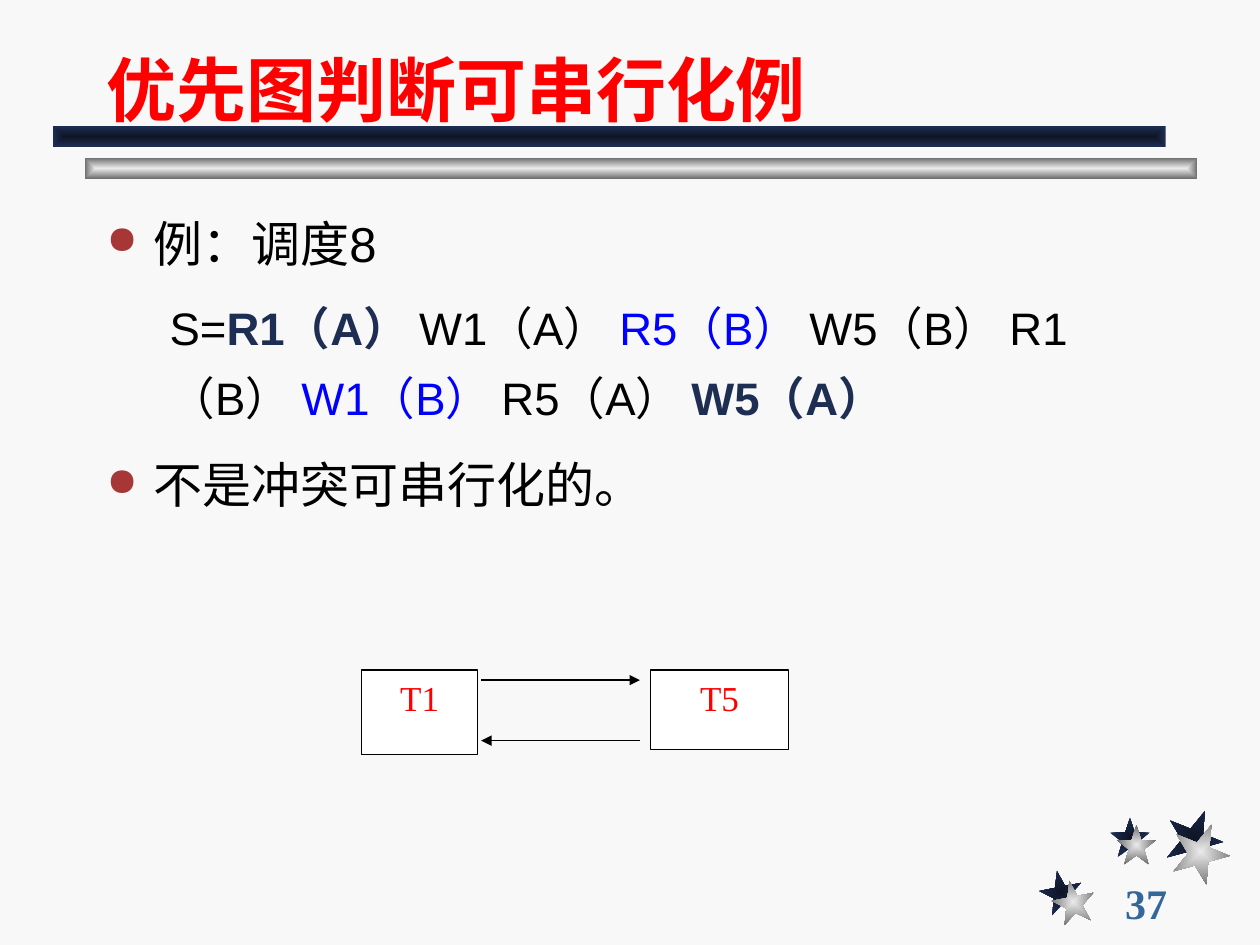
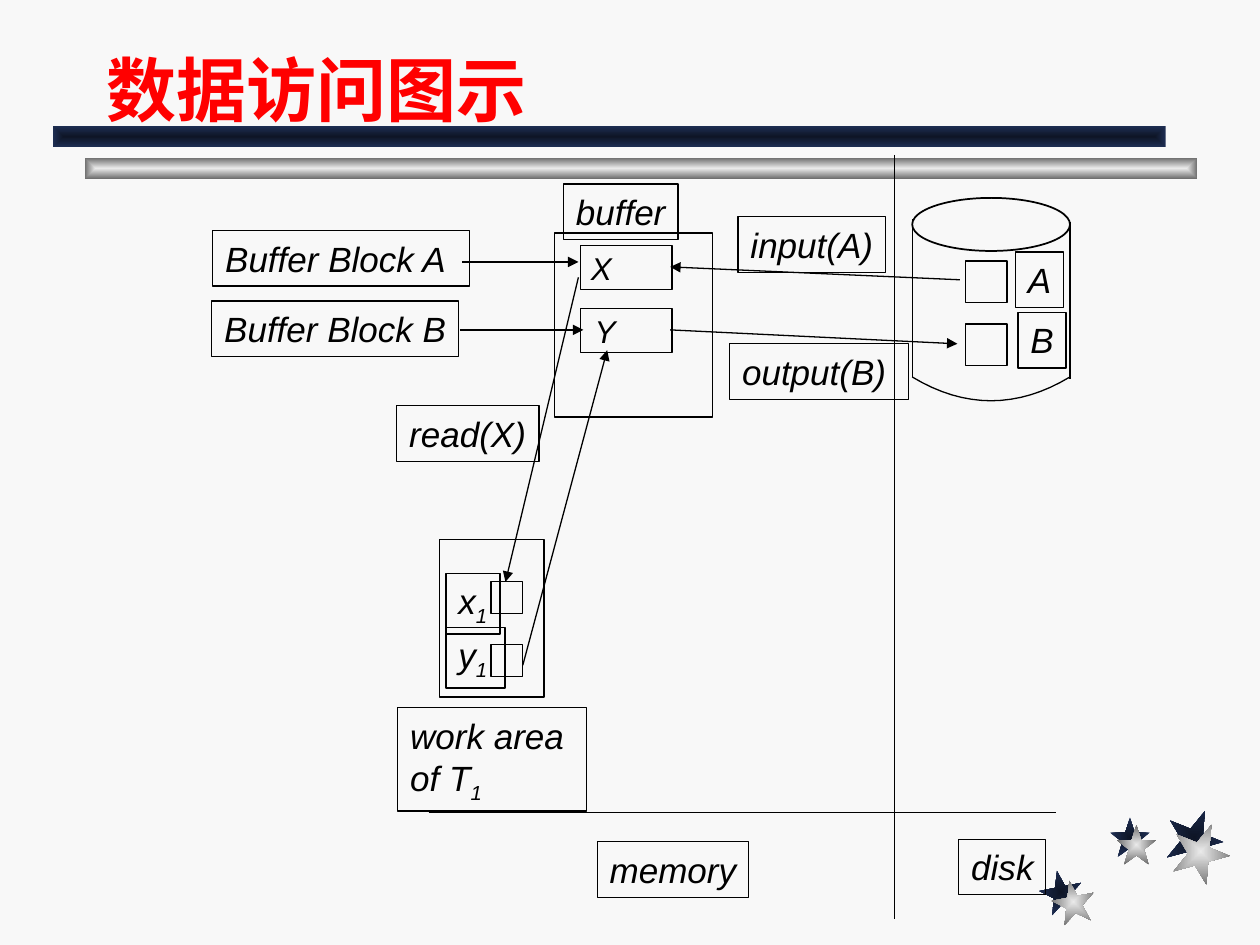
from dataclasses import dataclass

from lxml.etree import SubElement
from pptx import Presentation
from pptx.dml.color import RGBColor
from pptx.enum.shapes import MSO_CONNECTOR as Connector, MSO_SHAPE as Preset
from pptx.enum.text import MSO_ANCHOR as Anchor, MSO_AUTO_SIZE as AutoSize, PP_ALIGN as Align
from pptx.oxml.ns import qn
from pptx.util import Cm, Pt


@dataclass(frozen=True)
class Theme:
    paper: str = "F8F8F8"
    white: str = "FFFFFF"
    ink: str = "000000"
    red: str = "FF0000"
    blue: str = "0000FF"
    navy: str = "1E2E53"
    bullet: str = "A73737"
    number: str = "336699"
    dark_fade: tuple = ("0E1526", "1E2E53")
    light_fade: tuple = ("EAEAEA", "6C6C6C")
    sans: str = "Arial"
    serif: str = "Times New Roman"
    title_size: int = 40
    body_size: int = 28
    schedule_size: int = 26
    number_size: int = 24
    label_size: int = 20
    item_size: int = 18
    line_width: float = 0.75


THEME = Theme()
LABEL_HEIGHT = 1.12


@dataclass(frozen=True)
class Box:
    """A rectangle in centimetres."""
    left: float
    top: float
    width: float
    height: float

    def inner(self, dx, dy, width, height):
        return Box(self.left + dx, self.top + dy, width, height)

    def lengths(self):
        return Cm(self.left), Cm(self.top), Cm(self.width), Cm(self.height)


PAGE = Box(0, 0, 25.4, 19.05)


def rgb(value):
    return RGBColor.from_string(value)


# Text
def add_span(para, text, *, size, font=THEME.sans, color=THEME.ink,
             bold=False, italic=False, baseline=0):
    span = para.add_run()
    span.text = text
    span.font.name, span.font.size = font, Pt(size)
    span.font.bold, span.font.italic = bold, italic
    span.font.color.rgb = rgb(color)
    if baseline:
        span._r.get_or_add_rPr().set("baseline", str(baseline * 1000))


def prepare_frame(shape, anchor=Anchor.TOP, inset=0.25, right=0.0):
    frame = shape.text_frame
    frame.word_wrap, frame.auto_size = True, AutoSize.NONE
    frame.vertical_anchor = anchor
    frame.margin_left, frame.margin_right = Cm(inset), Cm(right)
    frame.margin_top = frame.margin_bottom = Cm(0.13)
    return frame


def add_bullet(para):
    props = para._p.get_or_add_pPr()
    props.set("marL", str(Cm(0.95)))
    props.set("indent", str(-Cm(0.95)))
    SubElement(SubElement(props, qn("a:buClr")), qn("a:srgbClr"), val=THEME.bullet)
    SubElement(props, qn("a:buSzPct"), val="80000")
    SubElement(props, qn("a:buChar"), char="●")


# Shapes and lines
def add_outline(page, box, preset=Preset.RECTANGLE, fill=None, width=THEME.line_width):
    shape = page.shapes.add_shape(preset, *box.lengths())
    style_outline(shape, fill, width)
    return shape


def style_outline(shape, fill=None, width=THEME.line_width):
    shape.shadow.inherit = False
    if fill:
        shape.fill.solid()
        shape.fill.fore_color.rgb = rgb(fill)
    else:
        shape.fill.background()
    shape.line.color.rgb = rgb(THEME.ink)
    shape.line.width = Pt(width)


def add_faded(page, box, preset, fade, rotation=0):
    shape = page.shapes.add_shape(preset, *box.lengths())
    shape.shadow.inherit = False
    shape.rotation = rotation
    shape.line.fill.background()
    shape.fill.gradient()
    for stop, color in zip(shape.fill.gradient_stops, fade):
        stop.color.rgb = rgb(color)
    # Fade from the centre to the edges
    gradient = shape.element.spPr.find(qn("a:gradFill"))
    gradient.remove(gradient.find(qn("a:lin")))
    route = SubElement(gradient, qn("a:path"), path="rect")
    SubElement(route, qn("a:fillToRect"), l="50000", t="50000", r="50000", b="50000")


def add_line(page, box, start, end, arrow=False):
    ends = [Cm(origin + offset) for point in (start, end)
            for origin, offset in zip((box.left, box.top), point)]
    line = page.shapes.add_connector(Connector.STRAIGHT, *ends)
    line.line.color.rgb = rgb(THEME.ink)
    line.line.width = Pt(THEME.line_width)
    props = line.element.spPr
    if arrow:
        SubElement(props.find(qn("a:ln")), qn("a:tailEnd"), type="triangle")
    SubElement(props, qn("a:effectLst"))


def add_label(page, box, *lines, size=THEME.label_size, anchor=Anchor.TOP, inset=0.25):
    """Each line is a text, or a pair of a text and its subscript."""
    frame = prepare_frame(add_outline(page, box), anchor, inset)
    for index, line in enumerate(lines):
        para = frame.add_paragraph() if index else frame.paragraphs[0]
        para.alignment = Align.LEFT
        text, subscript = (line, "") if isinstance(line, str) else line
        add_span(para, text, size=size, italic=True)
        if subscript:
            add_span(para, subscript, size=size, italic=True, baseline=-25)


# Shared frame of every slide
def add_stars(page, box):
    stars = [(0, 1.24, 0.86, -11, 0.25, 0.2),
             (1.42, 0.17, 0.8, 0, 0.13, 0.15),
             (2.54, 0, 1.15, 22, 0.13, 0.28)]
    for fade, shift in ((THEME.dark_fade, 0), (THEME.light_fade, 1)):
        for dx, dy, size, rotation, shift_x, shift_y in stars:
            place = box.inner(dx + shift * shift_x, dy + shift * shift_y, size, size)
            add_faded(page, place, Preset.STAR_5_POINT, fade, rotation)


def add_bands(page, box):
    add_faded(page, box.inner(0.64, 0.64, 22.43, 0.43), Preset.RECTANGLE, THEME.light_fade)
    add_faded(page, box.inner(0, 0, 22.43, 0.43), Preset.RECTANGLE, THEME.dark_fade)


def add_title(page, box, text):
    title = page.shapes.title
    title.left, title.top, title.width, title.height = box.lengths()
    para = prepare_frame(title, Anchor.BOTTOM, right=0.25).paragraphs[0]
    para.alignment = Align.LEFT
    add_span(para, text, size=THEME.title_size, color=THEME.red, bold=True)


def add_page(deck, title):
    page = deck.slides.add_slide(deck.slide_layouts[5])
    add_stars(page, PAGE.inner(20.96, 16.31, 3.82, 2.3))
    add_bands(page, PAGE.inner(1.07, 2.54, 23.07, 1.07))
    add_title(page, PAGE.inner(1.9, 0.43, 21.59, 2.34), title)
    return page


# Precedence graph slide
def add_schedule(page, box):
    frame = prepare_frame(page.shapes.add_textbox(*box.lengths()), right=0.25)
    heading, schedule, verdict = (frame.paragraphs[0], frame.add_paragraph(),
                                  frame.add_paragraph())
    for para, text in ((heading, "例：调度8"), (verdict, "不是冲突可串行化的。")):
        add_bullet(para)
        add_span(para, text, size=THEME.body_size)
    schedule._p.get_or_add_pPr().set("marL", str(Cm(1.27)))
    steps = [("S=", THEME.ink), ("R1（A） ", THEME.navy), ("W1（A） ", THEME.ink),
             ("R5（B） ", THEME.blue), ("W5（B） R1（B） ", THEME.ink),
             ("W1（B） ", THEME.blue), ("R5（A） ", THEME.ink), ("W5（A）", THEME.navy)]
    for text, color in steps:
        add_span(schedule, text, size=THEME.schedule_size, color=color,
                 bold=color == THEME.navy)
    for para, before in ((heading, 0), (schedule, 6.5), (verdict, 7)):
        para.line_spacing, para.space_before = 1.3, Pt(before)


def add_precedence_graph(page, box):
    nodes = [("T1", box.inner(0, 0, 2.34, 1.7)), ("T5", box.inner(5.82, 0, 2.79, 1.6))]
    for name, place in nodes:
        frame = prepare_frame(add_outline(page, place, fill=THEME.white), right=0.25)
        frame.paragraphs[0].alignment = Align.CENTER
        add_span(frame.paragraphs[0], name, size=THEME.label_size,
                 font=THEME.serif, color=THEME.red)
    add_line(page, box, (2.41, 0.2), (5.61, 0.2), arrow=True)
    add_line(page, box, (5.61, 1.42), (2.41, 1.42), arrow=True)


def add_page_number(page, box, number):
    frame = prepare_frame(page.shapes.add_textbox(*box.lengths()), Anchor.MIDDLE)
    add_span(frame.paragraphs[0], number, size=THEME.number_size, font=THEME.serif,
             color=THEME.number, bold=True)


def add_precedence_page(deck):
    page = add_page(deck, "优先图判断可串行化例")
    add_page_number(page, PAGE.inner(22.43, 17.78, 2.74, 0.84), "37")
    add_schedule(page, PAGE.inner(1.9, 3.81, 22, 6.71))
    add_precedence_graph(page, PAGE.inner(7.29, 13.51, 8.61, 1.7))


# Data access slide
def add_buffer(page, box):
    add_outline(page, box)
    for row, (name, inset) in enumerate((("X", 0.2), ("Y", 0.28))):
        add_label(page, box.inner(0.53, 0.25 + 1.27 * row, 1.84, 0.89), name,
                  size=THEME.item_size, anchor=Anchor.MIDDLE, inset=inset)
    add_label(page, box.inner(0.18, -0.99, 2.31, LABEL_HEIGHT), "buffer")


def add_disk(page, box):
    wall_end, depth, steps = 3.61, 0.48, 16
    add_outline(page, box.inner(0, 0, box.width, 1.07), Preset.OVAL, width=1)
    add_line(page, box, (0, 0.43), (0, wall_end))
    add_line(page, box, (box.width, 0.48), (box.width, 3.66))
    # Curved bottom
    curve = [(Cm(box.left + box.width * step / steps),
              Cm(box.top + wall_end + depth * (1 - (2 * step / steps - 1) ** 2)))
             for step in range(steps + 1)]
    builder = page.shapes.build_freeform(*curve[0])
    builder.add_line_segments(curve[1:], close=False)
    style_outline(builder.convert_to_shape())
    # Blocks and their names
    for row in range(2):
        add_outline(page, box.inner(1.07, 1.27 + 1.27 * row, 0.84, 0.84))
    add_label(page, box.inner(2.08, 1.09, 0.97, LABEL_HEIGHT), "A")
    add_label(page, box.inner(2.13, 2.31, 0.97, LABEL_HEIGHT), "B")


def add_work_area(page, box):
    add_outline(page, box)
    for row, (name, width) in enumerate((("x", 1.09), ("y", 1.19))):
        add_outline(page, box.inner(1.04, 0.86 + 1.27 * row, 0.64, 0.64))
        add_label(page, box.inner(0.13, 0.69 + 1.09 * row, width, 1.22), (name, "1"))
    add_label(page, box.inner(-0.84, 3.4, 3.81, 2.08), "work area", ("of T", "1"))


def add_captions(page, box):
    captions = [("Buffer Block A", 4.29, 4.65, 5.18), ("Buffer Block B", 4.27, 6.07, 4.98),
                ("input(A)", 14.88, 4.37, 2.97), ("output(B)", 14.71, 6.93, 3.61),
                ("read(X)", 8, 8.18, 2.87), ("memory", 12.04, 16.97, 3.05),
                ("disk", 19.33, 16.92, 1.75)]
    for text, dx, dy, width in captions:
        add_label(page, box.inner(dx, dy, width, LABEL_HEIGHT), text)


def add_flows(page, box):
    flows = [((9.32, 5.28), (11.66, 5.28)), ((9.27, 6.65), (11.76, 6.65)),
             ((19.35, 5.64), (13.51, 5.38)), ((13.51, 6.65), (19.3, 6.93)),
             ((11.66, 5.59), (10.19, 11.73)), ((10.54, 13.41), (12.24, 7.06))]
    for start, end in flows:
        add_line(page, box, start, end, arrow=True)
    # Borders between memory and disk
    add_line(page, box, (8.64, 16.38), (21.29, 16.38))
    add_line(page, box, (18.03, 3.12), (18.03, 18.52))


def add_data_access_page(deck):
    page = add_page(deck, "数据访问图示")
    add_buffer(page, PAGE.inner(11.18, 4.7, 3.18, 3.71))
    add_disk(page, PAGE.inner(18.39, 3.99, 3.18, 4.09))
    add_work_area(page, PAGE.inner(8.86, 10.87, 2.11, 3.18))
    add_captions(page, PAGE)
    add_flows(page, PAGE)


def main():
    deck = Presentation()
    deck.slide_width, deck.slide_height = Cm(PAGE.width), Cm(PAGE.height)
    backdrop = deck.slide_master.background.fill
    backdrop.solid()
    backdrop.fore_color.rgb = rgb(THEME.paper)
    add_precedence_page(deck)
    add_data_access_page(deck)
    deck.save("out.pptx")


if __name__ == "__main__":
    main()
